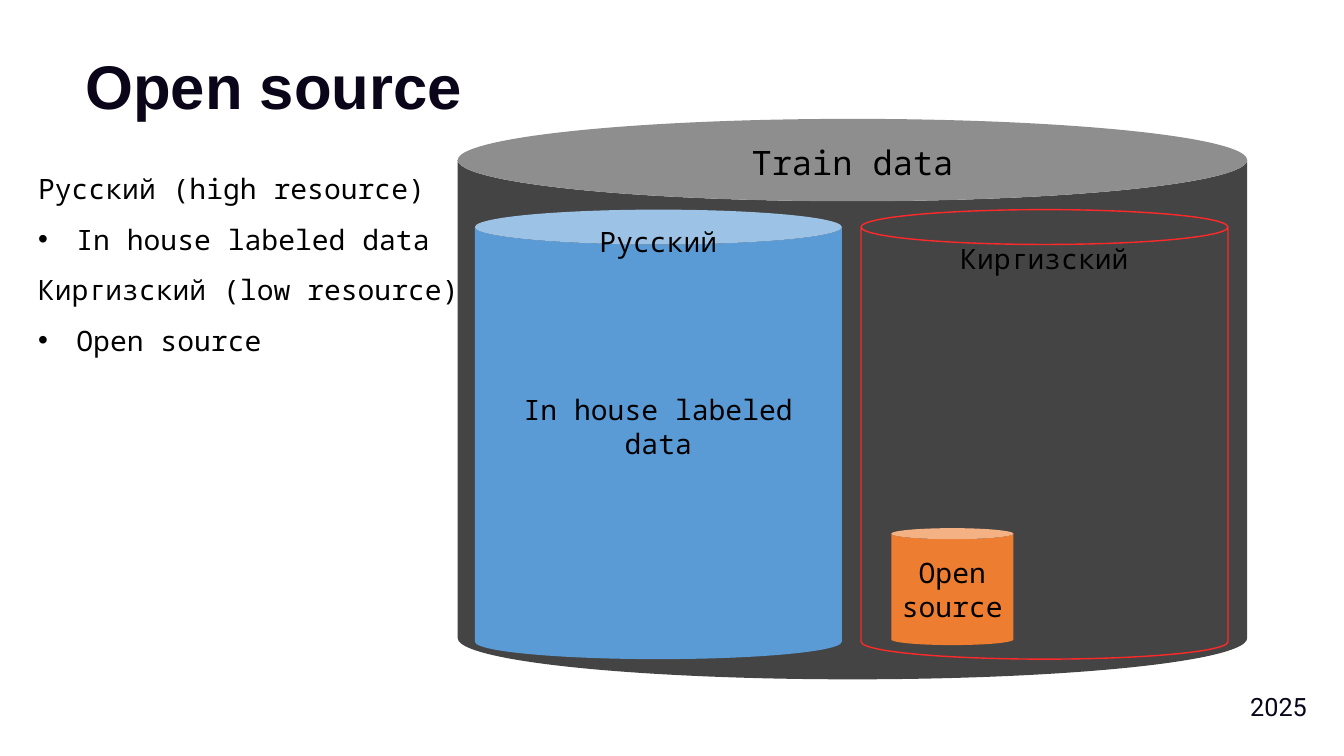
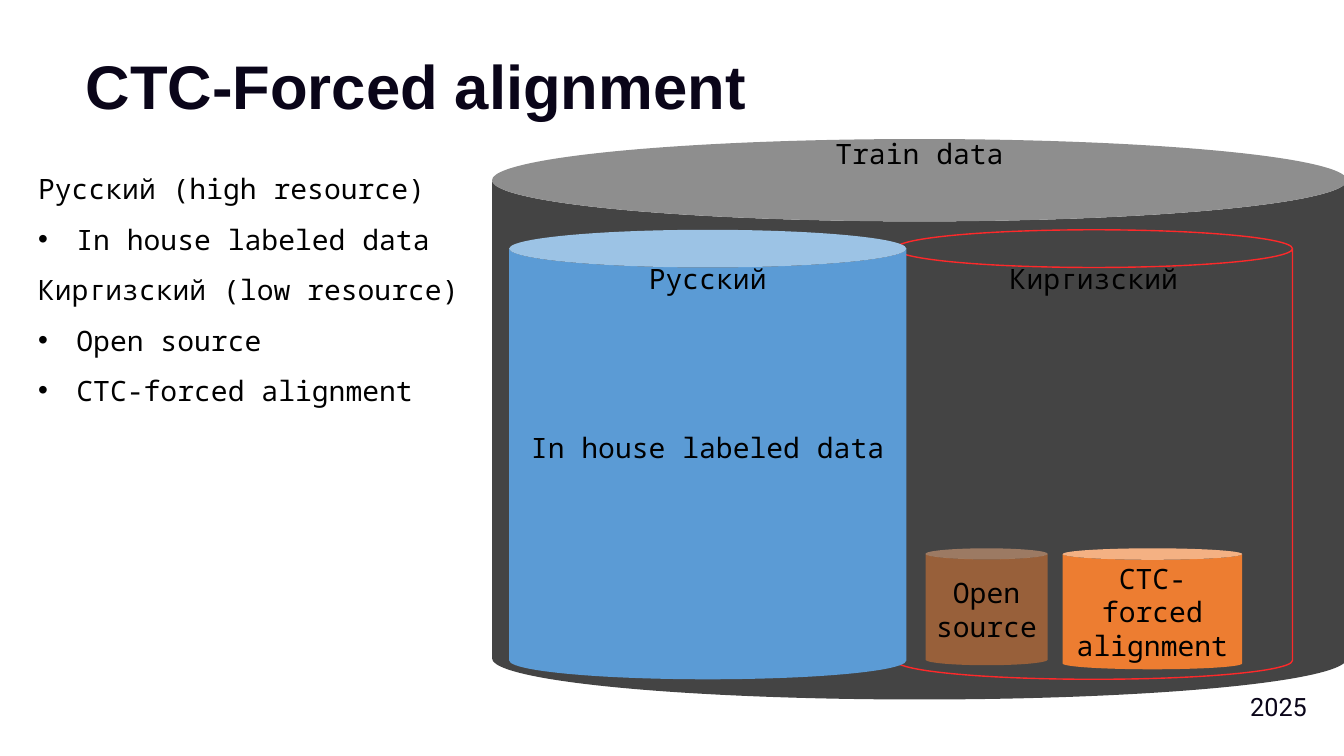
from dataclasses import dataclass

from lxml import etree
from pptx import Presentation
from pptx.dml.color import RGBColor
from pptx.enum.shapes import MSO_SHAPE
from pptx.enum.text import MSO_ANCHOR, PP_ALIGN
from pptx.oxml.ns import qn
from pptx.util import Inches, Pt

# Shared colours and fonts
INK, BLACK, GRAY = "0A0519", "000000", "444444"
BLUE, RED, ORANGE = "5B9BD5", "FD292A", "ED7D31"
TITLE_FONT, BODY_FONT, FOOTER_FONT = "Arial", "Noto Sans Mono", "Roboto"

# Rules for the cylinders, measured from the box that holds them
TRAIN_CURVE, DATA_CURVE = 0.147, 0.095
DATA_LEFT, DATA_TOP, DATA_HEIGHT, DATA_PITCH = 0.17, 0.9, 4.46, 3.83
SOURCE_LEFT, SOURCE_TOP, SOURCE_GAP = 0.3, 3.16, 0.15
LABEL_HEIGHT = 0.5


@dataclass
class Box:
    left: float
    top: float
    width: float
    height: float

    def lengths(self):
        return [Inches(value) for value in (self.left, self.top, self.width, self.height)]


@dataclass
class Source:
    name: str
    width: float
    height: float
    opacity: int = 100


def color(hex_string):
    return RGBColor.from_string(hex_string)


def write(paragraph, text, size=20, font=BODY_FONT, ink=BLACK, bold=False):
    run = paragraph.add_run()
    run.text = text
    run.font.size = Pt(size)
    run.font.name = font
    run.font.bold = bold
    run.font.color.rgb = color(ink)


def add_text_box(slide, box, anchor=MSO_ANCHOR.TOP):
    frame = slide.shapes.add_textbox(*box.lengths()).text_frame
    frame.word_wrap = True
    frame.vertical_anchor = anchor
    return frame


def add_bullet(paragraph):
    properties = paragraph._p.get_or_add_pPr()
    properties.set("marL", str(Inches(0.38)))
    properties.set("indent", str(Inches(-0.38)))
    bullet_font = etree.SubElement(properties, qn("a:buFont"))
    bullet_font.set("typeface", TITLE_FONT)
    etree.SubElement(properties, qn("a:buChar")).set("char", "•")


# Title and footer
def add_title(slide, text):
    frame = add_text_box(slide, Box(0.75, 0.4, 11.21, 0.98), MSO_ANCHOR.MIDDLE)
    paragraph = frame.paragraphs[0]
    paragraph.line_spacing = 0.9
    write(paragraph, text, 44, TITLE_FONT, INK, bold=True)


def add_footer(slide):
    paragraph = add_text_box(slide, Box(11.64, 6.81, 1.42, 0.38)).paragraphs[0]
    paragraph.alignment = PP_ALIGN.RIGHT
    write(paragraph, "2025", 18, FOOTER_FONT, INK)


# List of languages, each with its data sources
def add_language_list(slide, box, languages):
    frame = add_text_box(slide, box)
    lines = []
    for language, sources in languages:
        lines.append((language, False))
        lines.extend((source, True) for source in sources)
    for index, (text, bulleted) in enumerate(lines):
        paragraph = frame.add_paragraph() if index else frame.paragraphs[0]
        paragraph.line_spacing = 1.5
        if bulleted:
            add_bullet(paragraph)
        write(paragraph, text)


# Cylinders
def add_cylinder(slide, box, curve, fill=None, line=None, text="", lift=0, opacity=100):
    shape = slide.shapes.add_shape(MSO_SHAPE.CAN, *box.lengths())
    shape.shadow.inherit = False
    shape.adjustments[0] = curve
    if fill:
        shape.fill.solid()
        shape.fill.fore_color.rgb = color(fill)
        if opacity < 100:
            fill_color = shape._element.spPr.find(qn("a:solidFill"))[0]
            etree.SubElement(fill_color, qn("a:alpha")).set("val", str(opacity * 1000))
    else:
        shape.fill.background()
    if line:
        shape.line.color.rgb = color(line)
        shape.line.width = Pt(1)
    else:
        shape.line.fill.background()
    if text:
        frame = shape.text_frame
        frame.word_wrap = True
        frame.vertical_anchor = MSO_ANCHOR.MIDDLE
        frame.margin_bottom = Inches(0.05 + lift)
        paragraph = frame.paragraphs[0]
        paragraph.alignment = PP_ALIGN.CENTER
        write(paragraph, text)


def add_label(slide, box, text, center, size=20):
    label_box = Box(box.left, box.top + center - LABEL_HEIGHT / 2, box.width, LABEL_HEIGHT)
    paragraph = add_text_box(slide, label_box, MSO_ANCHOR.MIDDLE).paragraphs[0]
    paragraph.alignment = PP_ALIGN.CENTER
    write(paragraph, text, size)


def add_kyrgyz_data(slide, box, sources):
    add_cylinder(slide, box, DATA_CURVE, line=RED)
    add_label(slide, box, "Киргизский", 0.48)
    left = box.left + SOURCE_LEFT
    for source in sources:
        source_box = Box(left, box.top + SOURCE_TOP, source.width, source.height)
        add_cylinder(slide, source_box, DATA_CURVE, ORANGE, text=source.name,
                     opacity=source.opacity)
        left += source.width + SOURCE_GAP


def add_russian_data(slide, box, label_center):
    add_cylinder(slide, box, DATA_CURVE, BLUE, text="In house labeled data", lift=0.33)
    add_label(slide, box, "Русский", label_center)


def add_train_data(slide, box, label_center, label_size, data_width, russian_center, sources):
    add_cylinder(slide, box, TRAIN_CURVE, GRAY)
    add_label(slide, box, "Train data", label_center, label_size)
    russian_box, kyrgyz_box = [
        Box(box.left + DATA_LEFT + column * DATA_PITCH, box.top + DATA_TOP,
            data_width, DATA_HEIGHT)
        for column in range(2)
    ]
    add_kyrgyz_data(slide, kyrgyz_box, sources)
    add_russian_data(slide, russian_box, russian_center)


def add_data_slide(presentation, title, list_height, low_resource_items, train_data):
    slide = presentation.slides.add_slide(presentation.slide_layouts[6])
    add_title(slide, title)
    add_language_list(slide, Box(0.28, 1.49, 4.6, list_height), [
        ("Русский (high resource)", ["In house labeled data"]),
        ("Киргизский (low resource)", low_resource_items),
    ])
    add_train_data(slide, **train_data)
    add_footer(slide)


def main():
    presentation = Presentation()
    presentation.slide_width = Inches(13.33)
    presentation.slide_height = Inches(7.5)

    add_data_slide(
        presentation, "Open source", 2.07, ["Open source"],
        dict(box=Box(4.54, 1.18, 7.83, 5.56), label_center=0.43, label_size=24,
             data_width=3.64, russian_center=0.31,
             sources=[Source("Open source", 1.21, 1.16)]))
    add_data_slide(
        presentation, "CTC-Forced alignment", 2.58, ["Open source", "CTC-forced alignment"],
        dict(box=Box(4.88, 1.38, 8.48, 5.56), label_center=0.14, label_size=20,
             data_width=3.94, russian_center=0.48,
             sources=[Source("Open source", 1.21, 1.16, opacity=50),
                      Source("CTC-forced alignment", 1.78, 1.2)]))

    presentation.save("out.pptx")


if __name__ == "__main__":
    main()
